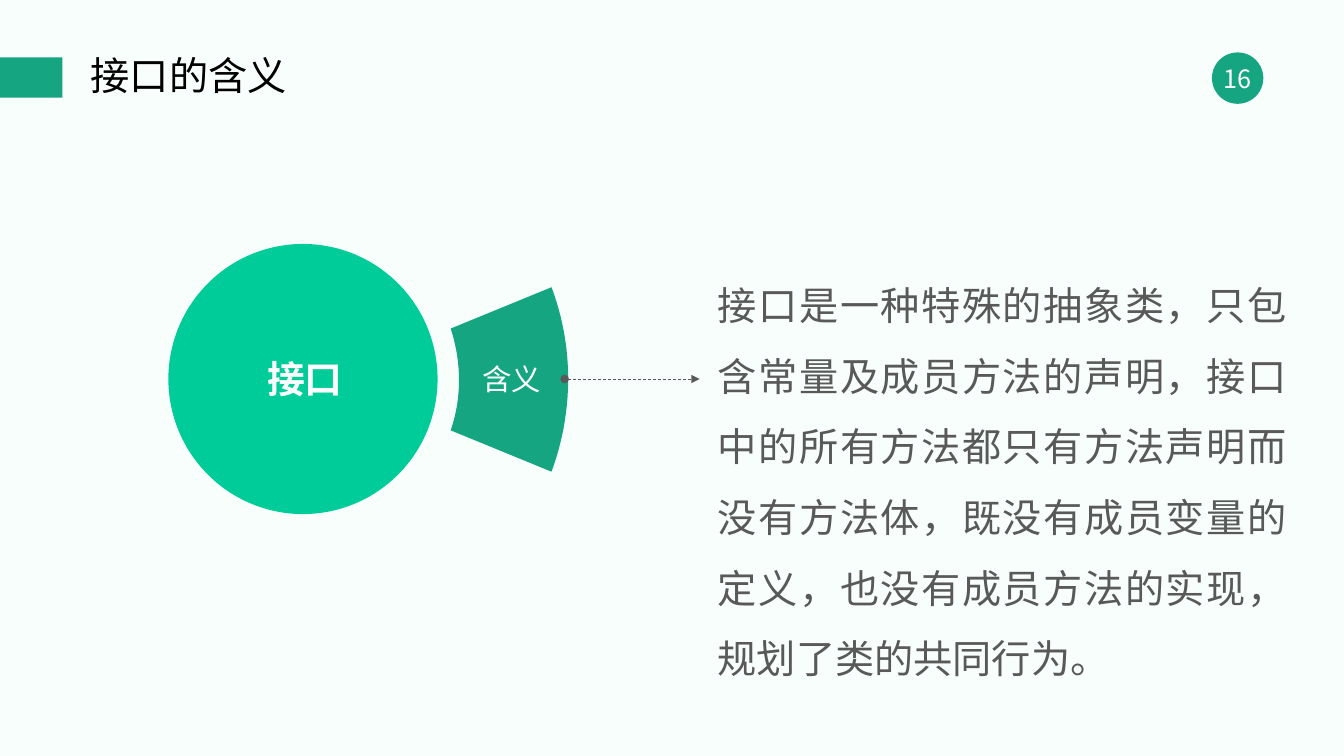
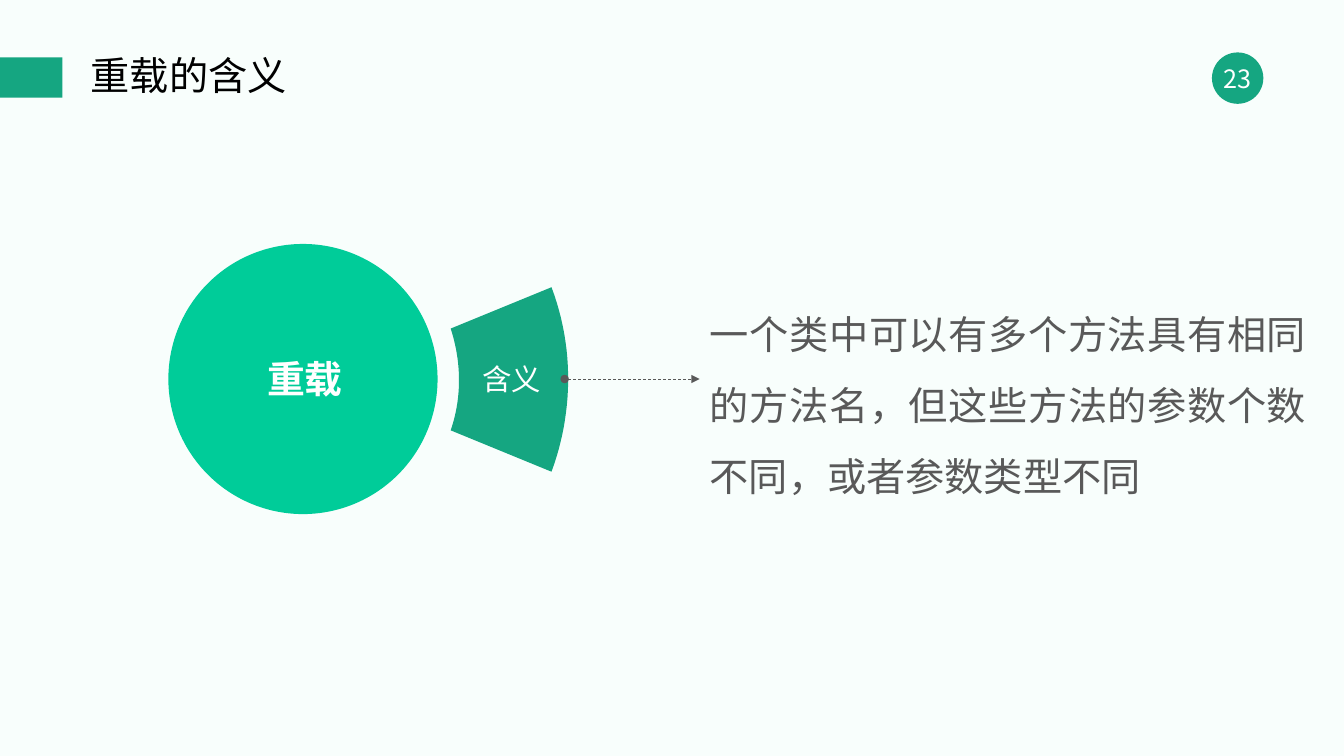
from dataclasses import dataclass

from lxml.etree import SubElement
from pptx import Presentation
from pptx.dml.color import RGBColor
from pptx.enum.dml import MSO_LINE
from pptx.enum.shapes import MSO_CONNECTOR, MSO_SHAPE
from pptx.enum.text import MSO_ANCHOR, PP_ALIGN
from pptx.oxml.ns import qn
from pptx.presentation import Presentation as Deck
from pptx.shapes.autoshape import Shape
from pptx.slide import Slide, SlideLayout
from pptx.util import Inches, Pt


@dataclass(frozen=True)
class Theme:
    font: str = "Noto Sans CJK SC"
    background: RGBColor = RGBColor(0xF8, 0xFE, 0xFC)
    green: RGBColor = RGBColor(0x15, 0xA6, 0x81)
    bright_green: RGBColor = RGBColor(0x00, 0xCC, 0x99)
    gray: RGBColor = RGBColor(0x59, 0x59, 0x59)
    black: RGBColor = RGBColor(0, 0, 0)
    white: RGBColor = RGBColor(0xFF, 0xFF, 0xFF)
    title_size: int = 28
    body_size: int = 28
    topic_size: int = 27
    label_size: int = 21
    number_size: int = 18


@dataclass(frozen=True)
class Box:
    left: float
    top: float
    width: float
    height: float

    def lengths(self) -> tuple[Inches, ...]:
        return tuple(Inches(v) for v in (self.left, self.top, self.width, self.height))


@dataclass(frozen=True)
class TextStyle:
    size: int
    color: RGBColor
    align: PP_ALIGN = PP_ALIGN.CENTER
    bold: bool = False
    line_spacing: float = 1.0
    anchor: MSO_ANCHOR = MSO_ANCHOR.TOP
    inset_x: float = 0
    inset_y: float = 0
    wrap: bool = True


@dataclass(frozen=True)
class MeaningPage:
    number: int
    topic: str
    meaning: str
    meaning_box: Box


Point = tuple[float, float]

THEME = Theme()
TITLE_STYLE = TextStyle(THEME.title_size, THEME.black, PP_ALIGN.LEFT, line_spacing=0.9,
                        anchor=MSO_ANCHOR.MIDDLE, inset_x=0.1, inset_y=0.05)
NUMBER_STYLE = TextStyle(THEME.number_size, THEME.white, anchor=MSO_ANCHOR.MIDDLE,
                         inset_y=0.05, wrap=False)
TOPIC_STYLE = TextStyle(THEME.topic_size, THEME.white, bold=True,
                        inset_x=0.13, inset_y=0.07, wrap=False)
LABEL_STYLE = TextStyle(THEME.label_size, THEME.white)
MEANING_STYLE = TextStyle(THEME.body_size, THEME.gray, PP_ALIGN.JUSTIFY, line_spacing=1.5)

TITLE_BOX = Box(0.8, 0.52, 7.45, 0.51)
BAND_BOX = Box(0, 0.57, 0.62, 0.4)
DISC_BOX = Box(12.02, 0.52, 0.51, 0.51)
NUMBER_BOX = Box(12.02, 0.42, 0.51, 0.71)
CIRCLE_BOX = Box(1.67, 2.42, 2.67, 2.68)
TOPIC_BOX = Box(2.51, 3.46, 1.03, 0.59)
LABEL_BOX = Box(4.65, 3.58, 0.85, 0.35)
OUTER_ARC: tuple[Point, ...] = ((5.47, 2.85), (5.7, 3.46), (5.68, 4.11), (5.47, 4.68))
INNER_ARC: tuple[Point, ...] = ((4.47, 4.27), (4.58, 3.95), (4.58, 3.6), (4.47, 3.26))
ARC_STEPS = 24

PAGES = (
    MeaningPage(16, "接口",
                "接口是一种特殊的抽象类，只包含常量及成员方法的声明，接口中的所有方法都只有"
                "方法声明而没有方法体，既没有成员变量的定义，也没有成员方法的实现，"
                "规划了类的共同行为。",
                Box(7.12, 2.56, 5.64, 4.16)),
    MeaningPage(23, "重载",
                "一个类中可以有多个方法具有相同的方法名，但这些方法的参数个数不同，"
                "或者参数类型不同",
                Box(7.04, 2.85, 5.92, 2.04)),
)


def write_text(shape: Shape, text: str, style: TextStyle) -> None:
    frame = shape.text_frame
    frame.text = text
    frame.word_wrap = style.wrap
    frame.vertical_anchor = style.anchor
    frame.margin_left = frame.margin_right = Inches(style.inset_x)
    frame.margin_top = frame.margin_bottom = Inches(style.inset_y)
    para = frame.paragraphs[0]
    para.alignment = style.align
    para.line_spacing = style.line_spacing
    para.space_before = Pt(0)
    span = para.runs[0]
    span.font.size = Pt(style.size)
    span.font.bold = style.bold
    span.font.color.rgb = style.color
    span.font.name = THEME.font
    SubElement(span._r.get_or_add_rPr(), qn("a:ea"), typeface=THEME.font)


def add_text(slide: Slide, box: Box, text: str, style: TextStyle) -> None:
    write_text(slide.shapes.add_textbox(*box.lengths()), text, style)


def paint(shape: Shape, color: RGBColor) -> None:
    shape.shadow.inherit = False
    shape.fill.solid()
    shape.fill.fore_color.rgb = color
    shape.line.fill.background()


def add_block(slide: Slide, kind: MSO_SHAPE, box: Box, color: RGBColor) -> Shape:
    shape = slide.shapes.add_shape(kind, *box.lengths())
    paint(shape, color)
    return shape


def curve_points(controls: tuple[Point, ...]) -> list[Point]:
    """Sample a cubic Bézier curve as points in EMU."""
    points = []
    for step in range(ARC_STEPS + 1):
        t = step / ARC_STEPS
        weights = ((1 - t) ** 3, 3 * t * (1 - t) ** 2, 3 * t ** 2 * (1 - t), t ** 3)
        x, y = (sum(w * c[axis] for w, c in zip(weights, controls)) for axis in (0, 1))
        points.append((Inches(x), Inches(y)))
    return points


def add_sector(slide: Slide) -> None:
    start, *others = curve_points(OUTER_ARC) + curve_points(INNER_ARC)
    builder = slide.shapes.build_freeform(*start)
    builder.add_line_segments(others, close=True)
    paint(builder.convert_to_shape(), THEME.green)


def add_arrow(slide: Slide) -> None:
    y = Inches(3.76)
    arrow = slide.shapes.add_connector(MSO_CONNECTOR.STRAIGHT, Inches(5.6), y, Inches(6.94), y)
    arrow.line.color.rgb = THEME.gray
    arrow.line.width = Pt(0.5)
    arrow.line.dash_style = MSO_LINE.DASH
    outline = arrow.line._get_or_add_ln()
    SubElement(outline, qn("a:headEnd"), type="oval")
    SubElement(outline, qn("a:tailEnd"), type="triangle")
    SubElement(arrow.element.spPr, qn("a:effectLst"))


def move_to_layout(layout: SlideLayout, shapes: tuple[Shape, ...]) -> None:
    for shape in shapes:
        layout.shapes.element.append(shape.element)


def prepare_layout(deck: Deck) -> SlideLayout:
    """Set the background and title place in the Title Only layout."""
    fill = deck.slide_master.background.fill
    fill.solid()
    fill.fore_color.rgb = THEME.background
    layout = deck.slide_layouts.get_by_name("Title Only")
    title = layout.placeholders[0]
    title.left, title.top, title.width, title.height = TITLE_BOX.lengths()
    return layout


def add_header_marks(slide: Slide) -> None:
    """Draw the band and number disc once, on the slide's layout."""
    move_to_layout(slide.slide_layout, (
        add_block(slide, MSO_SHAPE.OVAL, DISC_BOX, THEME.green),
        add_block(slide, MSO_SHAPE.RECTANGLE, BAND_BOX, THEME.green),
    ))


def add_meaning_slide(slide: Slide, page: MeaningPage) -> None:
    write_text(slide.shapes.title, f"{page.topic}的含义", TITLE_STYLE)
    add_text(slide, NUMBER_BOX, str(page.number), NUMBER_STYLE)
    add_text(slide, page.meaning_box, page.meaning, MEANING_STYLE)
    add_sector(slide)
    add_block(slide, MSO_SHAPE.OVAL, CIRCLE_BOX, THEME.bright_green)
    add_arrow(slide)
    add_text(slide, TOPIC_BOX, page.topic, TOPIC_STYLE)
    add_text(slide, LABEL_BOX, "含义", LABEL_STYLE)


def main() -> None:
    deck = Presentation()
    deck.slide_width, deck.slide_height = Inches(13.33), Inches(7.5)
    layout = prepare_layout(deck)
    slides = [deck.slides.add_slide(layout) for _ in PAGES]
    add_header_marks(slides[0])
    for slide, page in zip(slides, PAGES):
        add_meaning_slide(slide, page)
    deck.save("out.pptx")


if __name__ == "__main__":
    main()
